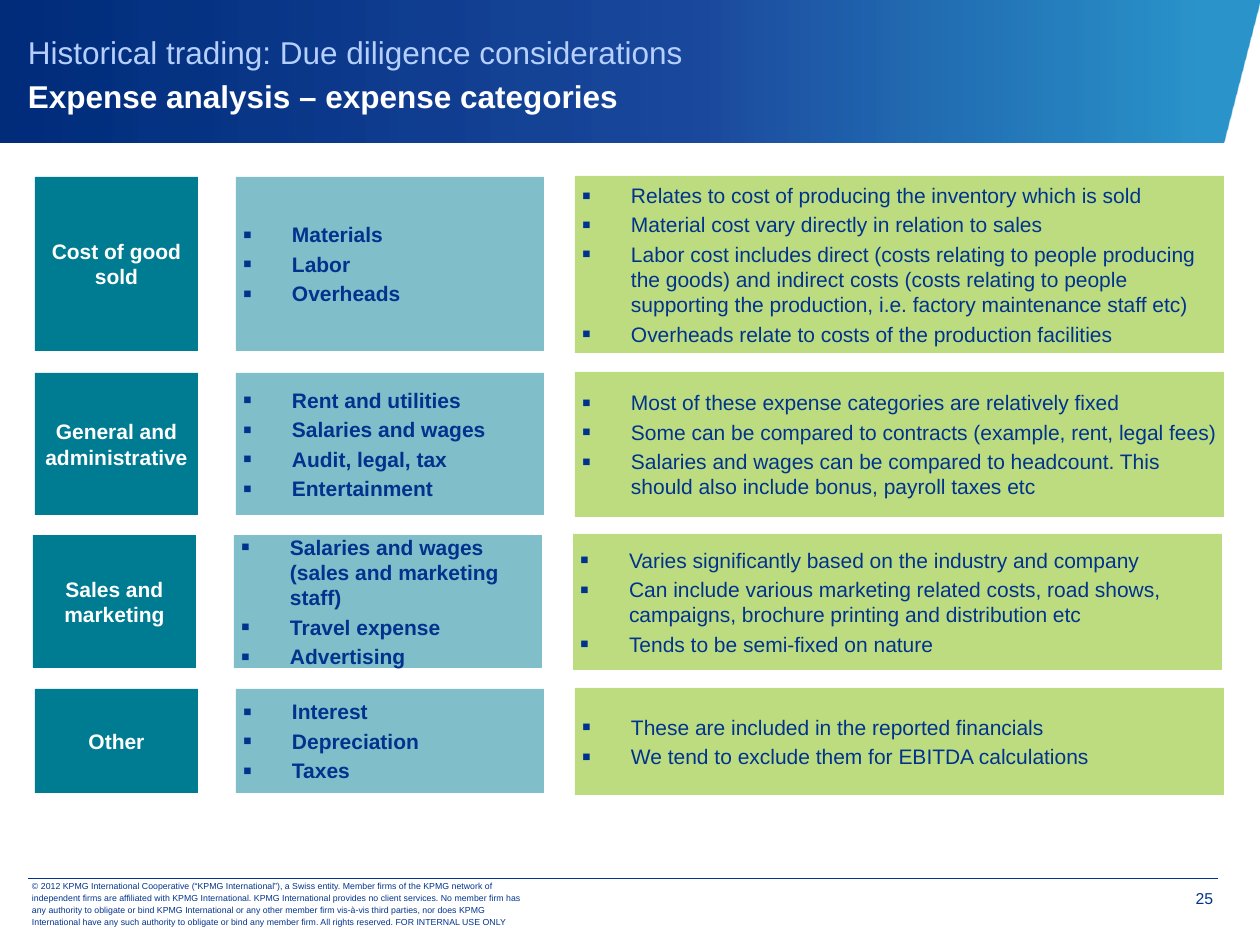
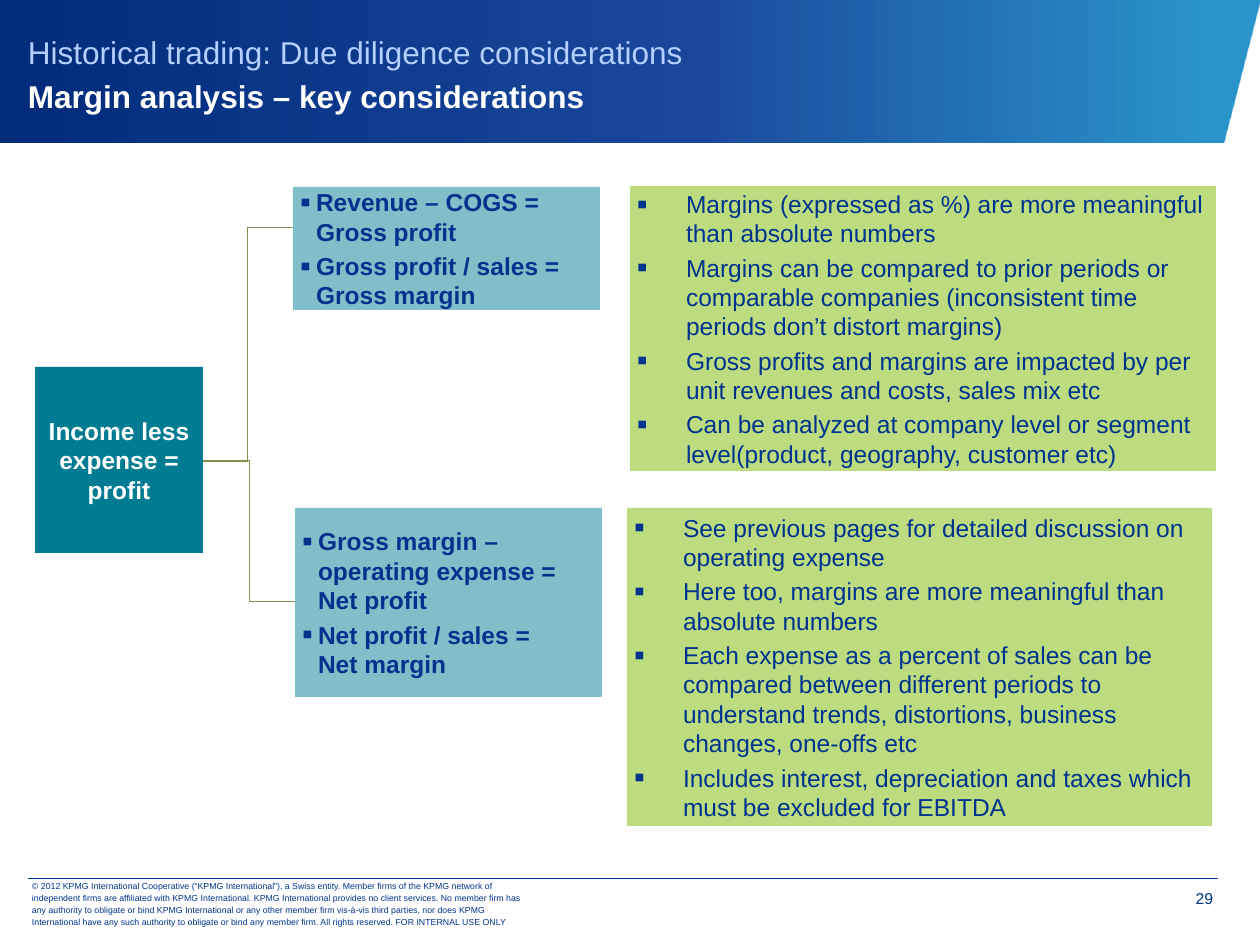
from lxml import etree
from pptx import Presentation
from pptx.dml.color import RGBColor
from pptx.enum.shapes import MSO_CONNECTOR, MSO_SHAPE
from pptx.enum.text import MSO_ANCHOR, PP_ALIGN
from pptx.oxml import parse_xml
from pptx.oxml.ns import nsdecls, qn
from pptx.util import Pt

LEFT, CENTER, RIGHT = PP_ALIGN.LEFT, PP_ALIGN.CENTER, PP_ALIGN.RIGHT
TOP, MIDDLE = MSO_ANCHOR.TOP, MSO_ANCHOR.MIDDLE
RECTANGLE = MSO_SHAPE.RECTANGLE
STRAIGHT, ELBOW = MSO_CONNECTOR.STRAIGHT, MSO_CONNECTOR.ELBOW

SCALE = 914400 / 126
FONT = "Arial"
COLORS = {
    "navy": "00338D", "teal": "007C92", "aqua": "80BEC9", "lime": "BDDC80",
    "olive": "85904E", "white": "FFFFFF", "pale": "B5D0FF",
}
BAND_STOPS = [(0, "002C7A", 100), (56, "003492", 89), (96, "0080C0", 83)]
SECTION = "Historical trading: Due diligence considerations"
COPYRIGHT = (
    "© 2012 KPMG International Cooperative (“KPMG International”), a Swiss entity. "
    "Member firms of the KPMG network of independent firms are affiliated with KPMG "
    "International. KPMG International provides no client services. No member firm has any "
    "authority to obligate or bind KPMG International or any other member firm vis-à-vis "
    "third parties, nor does KPMG International have any such authority to obligate or bind "
    "any member firm. All rights reserved. FOR INTERNAL USE ONLY"
)


def px(*lengths):
    return [round(length * SCALE) for length in lengths]


def write(page, area, paragraphs, fill=None, size=12, color="navy", bold=False, align=LEFT,
          anchor=MIDDLE, insets=(7, 7, 7, 7), indent=0, leading=None):
    """Place text in a filled rectangle, or in a text box if there is no fill."""
    if fill:
        box = page.shapes.add_shape(RECTANGLE, *px(*area))
        box.shadow.inherit = False
        box.fill.solid()
        box.fill.fore_color.rgb = RGBColor.from_string(COLORS[fill])
        box.line.fill.background()
    else:
        box = page.shapes.add_textbox(*px(*area))
    frame = box.text_frame
    frame.word_wrap = True
    frame.vertical_anchor = anchor
    (frame.margin_left, frame.margin_top,
     frame.margin_right, frame.margin_bottom) = px(*insets)
    for number, text in enumerate(paragraphs):
        para = frame.paragraphs[0] if number == 0 else frame.add_paragraph()
        para.text = text
        para.alignment = align
        if number:
            para.space_before = Pt(size * 0.2)
        if leading:
            para.line_spacing = Pt(leading)
        if indent:
            props = para._p.get_or_add_pPr()
            margin = px(indent)[0]
            props.set("marL", str(margin))
            props.set("indent", str(-margin))
            bullet_color = etree.SubElement(props, qn("a:buClr"))
            etree.SubElement(bullet_color, qn("a:srgbClr"), val=COLORS["navy"])
            etree.SubElement(props, qn("a:buSzPct"), val="125000")
            etree.SubElement(props, qn("a:buFont"), typeface=FONT)
            etree.SubElement(props, qn("a:buChar"), char="▪")
        for span in para.runs:
            span.font.name = FONT
            span.font.size = Pt(size)
            span.font.bold = bold
            span.font.color.rgb = RGBColor.from_string(COLORS[color])
    return box


deck = Presentation()
deck.slide_width, deck.slide_height = px(1260, 945)

# Shared band, title and footer
pages = []
lines = []
for topic, page_number in [("Expense analysis – expense categories", "25"),
                           ("Margin analysis – key considerations", "29")]:
    page = deck.slides.add_slide(deck.slide_layouts[6])
    pages.append(page)

    outline = page.shapes.build_freeform(0, 0, scale=SCALE)
    outline.add_line_segments([(1260, 0), (1223, 142), (0, 142)], close=True)
    band = outline.convert_to_shape()
    band.shadow.inherit = False
    band.line.fill.background()
    stops = "".join(
        f'<a:gs pos="{place * 1000}"><a:srgbClr val="{color}">'
        f'<a:alpha val="{opacity * 1000}"/></a:srgbClr></a:gs>'
        for place, color, opacity in BAND_STOPS)
    gradient = parse_xml(f'<a:gradFill {nsdecls("a")}><a:gsLst>{stops}</a:gsLst>'
                         '<a:lin ang="0" scaled="0"/></a:gradFill>')
    band._element.spPr.find(qn("a:custGeom")).addnext(gradient)

    title = write(page, (28, 16, 1178, 110), [f"{SECTION}\v{topic}"], size=18, color="pale",
                  insets=(0, 0, 0, 0), leading=25)
    topic_span = title.text_frame.paragraphs[0].runs[1]
    topic_span.font.bold = True
    topic_span.font.color.rgb = RGBColor.from_string(COLORS["white"])

    write(page, (1144, 879, 69, 39), [page_number], size=9, align=RIGHT, anchor=TOP,
          insets=(10, 10, 0, 0))
    write(page, (20, 881, 523, 44), [COPYRIGHT], size=5, insets=(12, 6, 12, 6), leading=7)
    rule = page.shapes.add_connector(STRAIGHT, *px(28, 878, 1218, 878))
    lines.append((rule, "navy", 0.25))

expense_page, margin_page = pages

# Expense categories: top, height, left shift, name, items, notes
categories = [
    (177, 174, 0, "Cost of good sold", ["Materials", "Labor", "Overheads"],
     ["Relates to cost of producing the inventory which is sold",
      "Material cost vary directly in relation to sales",
      "Labor cost includes direct (costs relating to people producing the goods) and indirect "
      "costs (costs relating to people supporting the production, i.e. factory maintenance "
      "staff etc)",
      "Overheads relate to costs of the production facilities"]),
    (373, 142, 0, "General and administrative",
     ["Rent and utilities", "Salaries and wages", "Audit, legal, tax", "Entertainment"],
     ["Most of these expense categories are relatively fixed",
      "Some can be compared to contracts (example, rent, legal fees)",
      "Salaries and wages can be compared to headcount. This should also include bonus, "
      "payroll taxes etc"]),
    (535, 133, 2, "Sales and marketing",
     ["Salaries and wages (sales and marketing staff)", "Travel expense", "Advertising"],
     ["Varies significantly based on the industry and company",
      "Can include various marketing related costs, road shows, campaigns, brochure printing "
      "and distribution etc",
      "Tends to be semi-fixed on nature"]),
    (689, 104, 0, "Other", ["Interest", "Depreciation", "Taxes"],
     ["These are included in the reported financials",
      "We tend to exclude them for EBITDA calculations"]),
]
for top, height, shift, name, items, notes in categories:
    write(expense_page, (236 - shift, top, 308, height), items, fill="aqua", bold=True,
          indent=49)
    write(expense_page, (35 - shift, top, 163, height), [name], fill="teal", color="white",
          bold=True, align=CENTER)
    write(expense_page, (575 - shift, top - 1, 649, height + 3), notes, fill="lime", indent=49)

# Margin tree: profit box, formulas, notes
write(margin_page, (35, 367, 168, 186), ["Income less expense = profit"], fill="teal", size=14,
      color="white", bold=True, align=CENTER)
branches = [
    ((293, 187, 307, 123), 227, 7,
     ["Revenue – COGS = Gross profit", "Gross profit / sales = Gross margin"],
     (630, 186, 586, 285),
     ["Margins (expressed as %) are more meaningful than absolute numbers",
      "Margins can be compared to prior periods or comparable companies (inconsistent time "
      "periods don’t distort margins)",
      "Gross profits and margins are impacted by per unit revenues and costs, sales mix etc",
      "Can be analyzed at company level or segment level(product, geography, customer etc)"]),
    ((295, 508, 307, 189), 602, 32,
     ["Gross margin – operating expense = Net profit", "Net profit / sales = Net margin"],
     (627, 508, 585, 318),
     ["See previous pages for detailed discussion on operating expense",
      "Here too, margins are more meaningful than absolute numbers",
      "Each expense as a percent of sales can be compared between different periods to "
      "understand trends, distortions, business changes, one-offs etc",
      "Includes interest, depreciation and taxes which must be excluded for EBITDA"]),
]
for formula_area, join_y, right_inset, formulas, notes_area, notes in branches:
    write(margin_page, formula_area, formulas, fill="aqua", size=14, bold=True, indent=16,
          insets=(7, 7, right_inset, 7))
    write(margin_page, notes_area, notes, fill="lime", size=14, indent=49)
    branch = margin_page.shapes.add_connector(ELBOW, *px(formula_area[0], join_y, 203, 461))
    lines.append((branch, "olive", 0.5))

# Line style
for line, color, width in lines:
    line.line.color.rgb = RGBColor.from_string(COLORS[color])
    line.line.width = Pt(width)
    etree.SubElement(line._element.spPr, qn("a:effectLst"))

deck.save("out.pptx")
